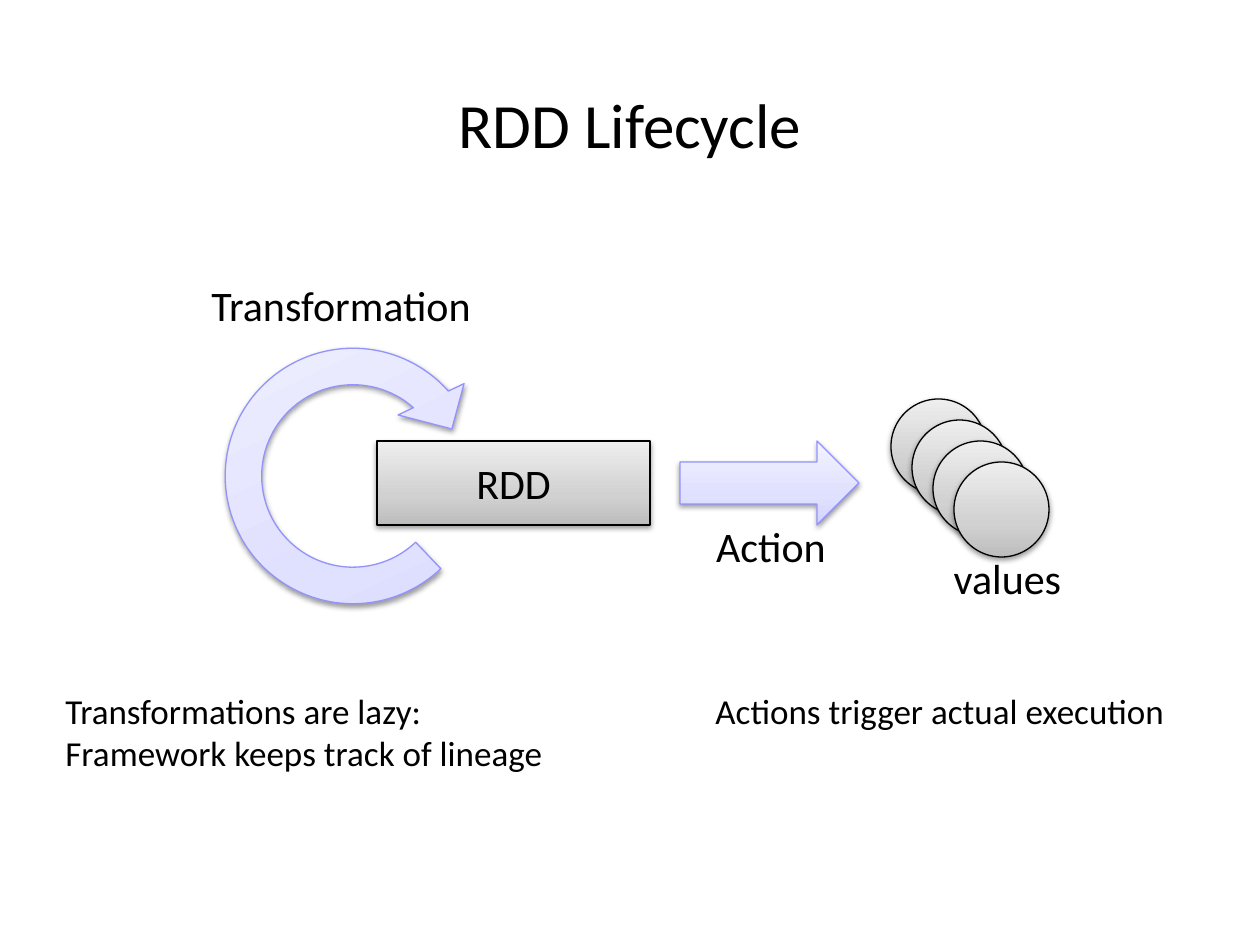
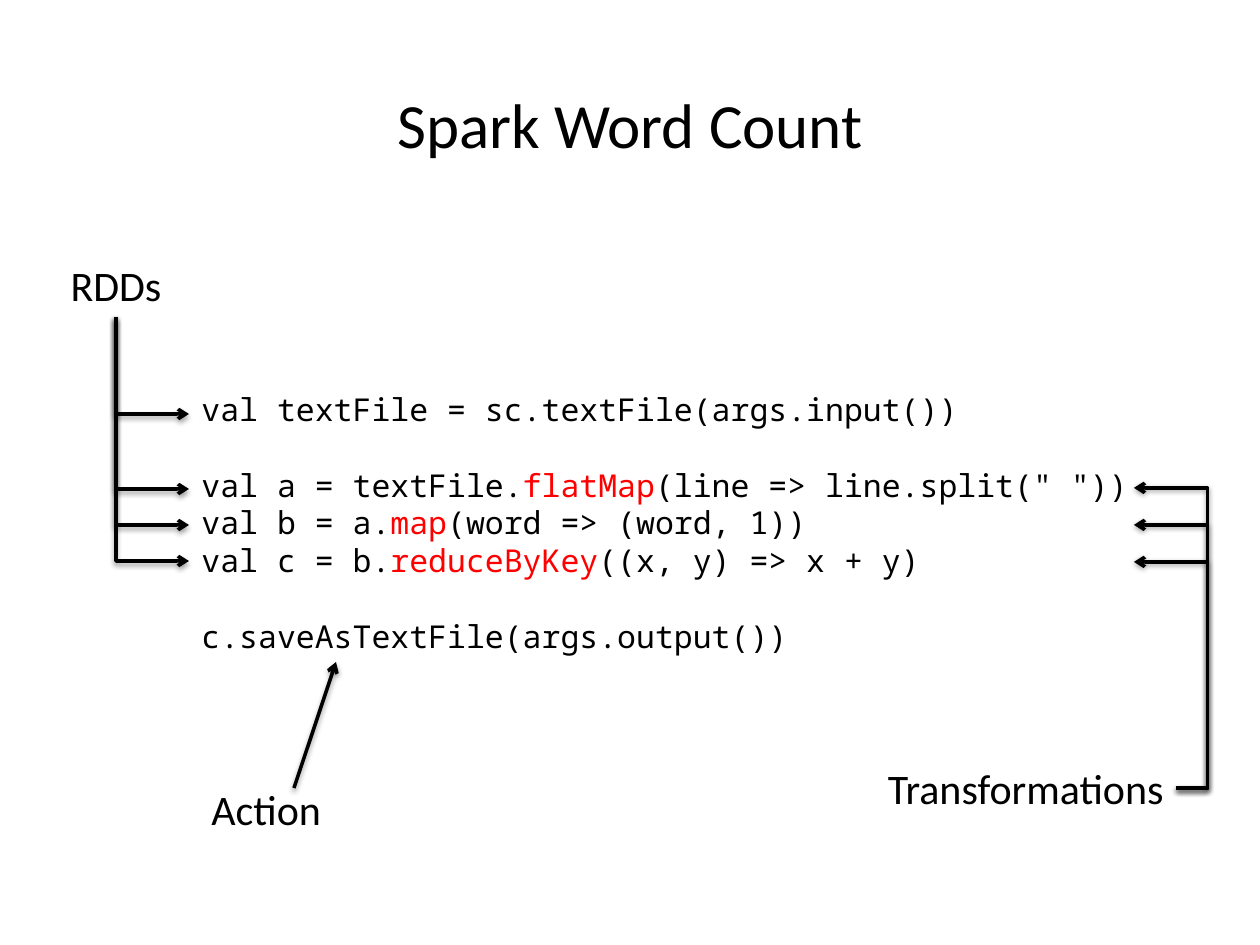
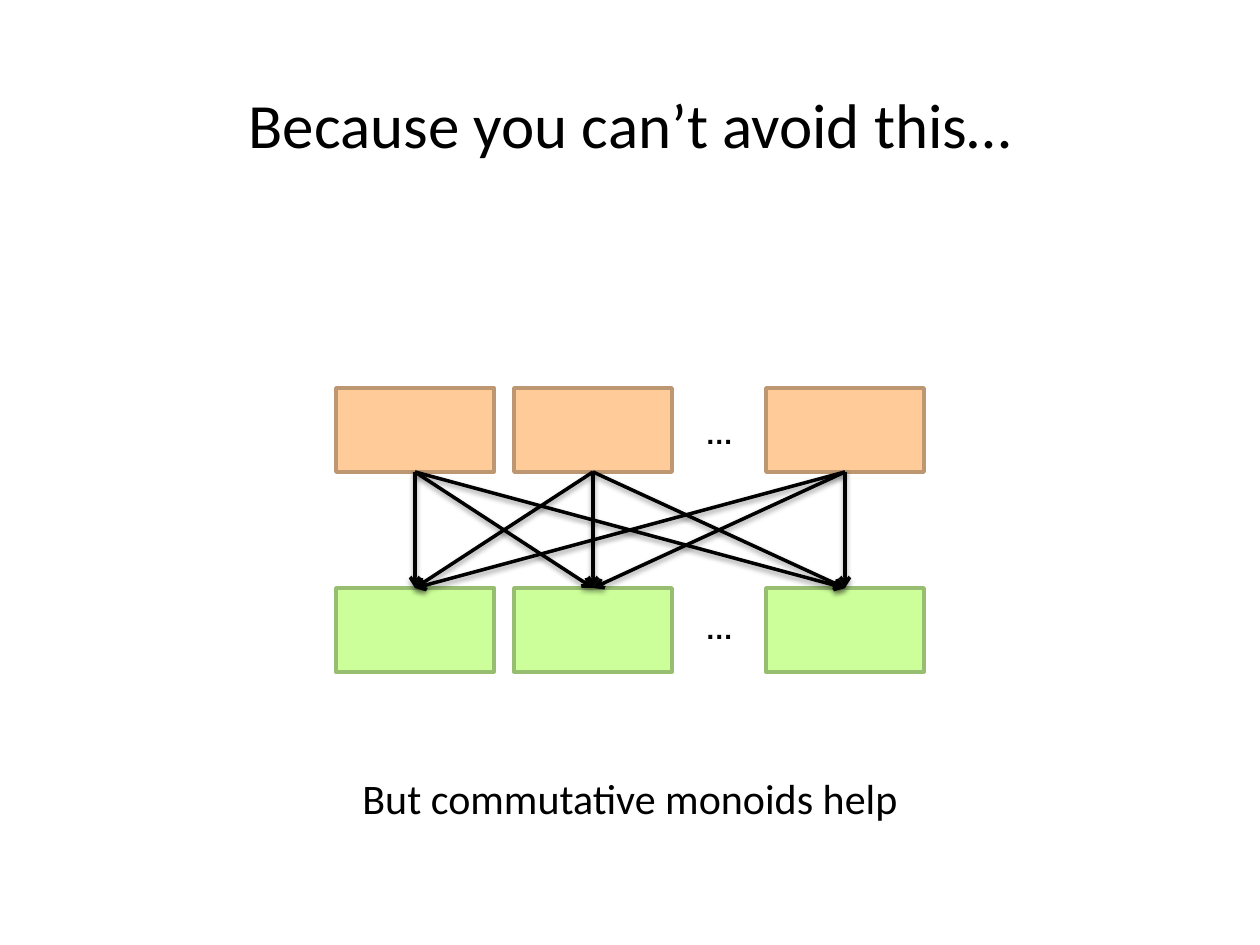
import pptx
import pptx.dml.color
import pptx.enum.shapes
import pptx.enum.text
import pptx.oxml
import pptx.oxml.ns
import pptx.util
from lxml import etree

SHAPE = pptx.enum.shapes.MSO_SHAPE
CONNECTOR = pptx.enum.shapes.MSO_CONNECTOR
ALIGN = pptx.enum.text.PP_ALIGN
ANCHOR = pptx.enum.text.MSO_ANCHOR
AUTO_SIZE = pptx.enum.text.MSO_AUTO_SIZE
qn = pptx.oxml.ns.qn

EMU_PER_PX = 914400 / 126
COLORS = {
    "ink": "000000",
    "keyword": "FF0000",
    "lilac_line": "9393FC",
    "mapper": "FFCC99",
    "mapper_line": "BD9771",
    "reducer": "CCFF99",
    "reducer_line": "97BD71",
}
GRADIENTS = {
    "gray": ("BDBDBD", "D1D1D1", "EEEEEE"),
    "lilac": ("D4D4FF", "E0E0FF", "F3F3FF"),
}
GRADIENT_STOPS = (0, 35000, 100000)


def px(length):
    return pptx.util.Emu(round(length * EMU_PER_PX))


def rgb(name):
    return pptx.dml.color.RGBColor.from_string(COLORS[name])


class Deck:
    def __init__(self):
        self.prs = pptx.Presentation()
        self.prs.slide_width = px(1260)
        self.prs.slide_height = px(945)
        self.slide = None

    def new_slide(self, title):
        self.slide = self.prs.slides.add_slide(self.prs.slide_layouts[6])
        heading = self.text(title, 0, 76, 1260, 94, size=36, align=ALIGN.CENTER)
        heading.text_frame.auto_size = AUTO_SIZE.NONE
        heading.text_frame.vertical_anchor = ANCHOR.MIDDLE

    def style_font(self, font, size, family="Calibri", color="ink", bold=False):
        font.size = pptx.util.Pt(size)
        font.name = family
        font.bold = bold
        font.color.rgb = rgb(color)

    def text(self, content, x, y, w, h, size=24, align=ALIGN.LEFT,
             family="Calibri", bold=False, wrap=True):
        box = self.slide.shapes.add_textbox(px(x), px(y), px(w), px(h))
        frame = box.text_frame
        frame.word_wrap = wrap
        frame.auto_size = AUTO_SIZE.SHAPE_TO_FIT_TEXT
        frame.text = content
        for paragraph in frame.paragraphs:
            paragraph.alignment = align
            for run in paragraph.runs:
                self.style_font(run.font, size, family, bold=bold)
        return box

    def code(self, lines, x, y, w, h, size=18, gap=21.5):
        frame = self.text("", x, y, w, h).text_frame
        for index, (source, keyword, starts_block) in enumerate(lines):
            paragraph = frame.add_paragraph() if index else frame.paragraphs[0]
            if starts_block:
                paragraph.space_before = pptx.util.Pt(gap)
            for part in source.partition(keyword) if keyword else (source,):
                run = paragraph.add_run()
                run.text = part
                color = "keyword" if part == keyword else "ink"
                self.style_font(run.font, size, "Noto Sans Mono", color)

    def shadow(self, effects):
        outer = etree.SubElement(effects, qn("a:outerShdw"), blurRad="40000",
                                 dist="20000", dir="5400000", rotWithShape="0")
        black = etree.SubElement(outer, qn("a:srgbClr"), val=COLORS["ink"])
        etree.SubElement(black, qn("a:alpha"), val="38000")

    def shape(self, kind, x, y, w, h, line, line_width):
        shape = self.slide.shapes.add_shape(kind, px(x), px(y), px(w), px(h))
        shape.shadow.inherit = False
        shape.line.color.rgb = rgb(line)
        shape.line.width = pptx.util.Pt(line_width)
        return shape

    def block(self, x, y, w, h, color):
        block = self.shape(SHAPE.RECTANGLE, x, y, w, h, color + "_line", 2)
        block.fill.solid()
        block.fill.fore_color.rgb = rgb(color)
        return block

    def glossy(self, kind, x, y, w, h, gradient, line, label=""):
        shape = self.shape(kind, x, y, w, h, line, 0.75)
        shape.fill.gradient()
        shape.fill.gradient_angle = 90
        properties = shape._element.spPr
        stops = properties.find(".//" + qn("a:gsLst"))
        for stop in list(stops):
            stops.remove(stop)
        for position, color in zip(GRADIENT_STOPS, GRADIENTS[gradient]):
            stop = etree.SubElement(stops, qn("a:gs"), pos=str(position))
            etree.SubElement(stop, qn("a:srgbClr"), val=color)
        self.shadow(properties.find(qn("a:effectLst")))
        if label:
            shape.text_frame.text = label
            shape.text_frame.vertical_anchor = ANCHOR.MIDDLE
            paragraph = shape.text_frame.paragraphs[0]
            paragraph.alignment = ALIGN.CENTER
            self.style_font(paragraph.runs[0].font, 24)
        return shape

    def arrow(self, x1, y1, x2, y2, kind=CONNECTOR.STRAIGHT):
        arrow = self.slide.shapes.add_connector(kind, px(x1), px(y1), px(x2), px(y2))
        arrow.line.color.rgb = rgb("ink")
        arrow.line.width = pptx.util.Pt(2)
        properties = arrow._element.spPr
        etree.SubElement(properties.find(qn("a:ln")), qn("a:tailEnd"), type="arrow")
        self.shadow(etree.SubElement(properties, qn("a:effectLst")))
        return arrow

    def down_then_across(self, x1, y1, x2, y2):
        center_x, center_y = (x1 + x2) / 2, (y1 + y2) / 2
        half_w, half_h = (y2 - y1) / 2, (x2 - x1) / 2
        arrow = self.arrow(center_x + half_w, center_y - half_h,
                           center_x - half_w, center_y + half_h, CONNECTOR.ELBOW)
        properties = arrow._element.spPr
        properties.find(qn("a:xfrm")).set("rot", "16200000")
        properties.find(qn("a:prstGeom")).set("prst", "bentConnector2")

    def around(self, x1, y1, x2, y2, bend):
        arrow = self.arrow(x1, y1, x2, y2, CONNECTOR.ELBOW)
        geometry = arrow._element.spPr.find(qn("a:prstGeom"))
        guides = geometry.find(qn("a:avLst"))
        if guides is None:
            guides = etree.SubElement(geometry, qn("a:avLst"))
        etree.SubElement(guides, qn("a:gd"), name="adj1", fmla=f"val {bend}")

    def connect(self, source, target):
        arrow = self.arrow(0, 0, 0, 0)
        arrow.begin_connect(source, 2)
        arrow.end_connect(target, 0)


def lifecycle(deck):
    deck.new_slide("RDD Lifecycle")
    deck.glossy(SHAPE.RECTANGLE, 377, 441, 273, 84, "gray", "ink", "RDD")
    loop = deck.glossy(SHAPE.CIRCULAR_ARROW, 207, 330, 292, 292, "lilac", "lilac_line")
    loop.rotation = 334.6
    for index, value in enumerate((0.125, 11.423, 204.577, 43.167, 0.125)):
        loop.adjustments[index] = value
    deck.glossy(SHAPE.RIGHT_ARROW, 680, 441, 179, 84, "lilac", "lilac_line")
    deck.text("Transformation", 168, 273, 346, 63, align=ALIGN.CENTER)
    deck.text("Action", 598, 514, 346, 63, align=ALIGN.CENTER)
    deck.text("Transformations are lazy:\nFramework keeps track of lineage",
              53, 683, 525, 97, size=20)
    deck.text("Actions trigger actual execution", 703, 683, 525, 55, size=20)
    for step in range(4):
        deck.glossy(SHAPE.OVAL, 891 + 21 * step, 399 + 21 * step, 95, 95, "gray", "ink")
    deck.text("values", 913, 546, 189, 63, align=ALIGN.CENTER)


def word_count(deck):
    deck.new_slide("Spark Word Count")
    deck.code([
        ("val textFile = sc.textFile(args.input())", "", False),
        ('val a = textFile.flatMap(line => line.split(" "))', "flatMap", True),
        ("val b = a.map(word => (word, 1))", "map", False),
        ("val c = b.reduceByKey((x, y) => x + y)", "reduceByKey", False),
        ("c.saveAsTextFile(args.output())", "", True),
    ], 189, 384, 966, 280)
    deck.text("RDDs", 32, 253, 168, 63, align=ALIGN.CENTER)
    for rdd_y in (414, 489, 525, 561):
        deck.down_then_across(116, 317, 189, rdd_y)
    deck.text("Transformations", 829, 756, 347, 63, align=ALIGN.RIGHT)
    for transformation_y in (488, 525, 562):
        deck.around(1176, 788, 1134, transformation_y, -75000)
    deck.text("Action", 199, 777, 147, 63)
    deck.arrow(294, 788, 336, 662)


def shuffle(deck):
    deck.new_slide("Because you can’t avoid this…")
    columns = (336, 514, 766)
    reducers = [deck.block(x, 588, 158, 84, "reducer") for x in columns]
    mappers = [deck.block(x, 388, 158, 84, "mapper") for x in columns]
    for mapper in mappers:
        for reducer in reducers:
            deck.connect(mapper, reducer)
    for ellipsis_y in (410, 605):
        deck.text("…", 693, ellipsis_y, 54, 47, size=16, family="Arial",
                  bold=True, wrap=False)
    deck.text("But commutative monoids help", 0, 766, 1260, 63, align=ALIGN.CENTER)


def main():
    deck = Deck()
    lifecycle(deck)
    word_count(deck)
    shuffle(deck)
    deck.prs.save("out.pptx")


if __name__ == "__main__":
    main()
